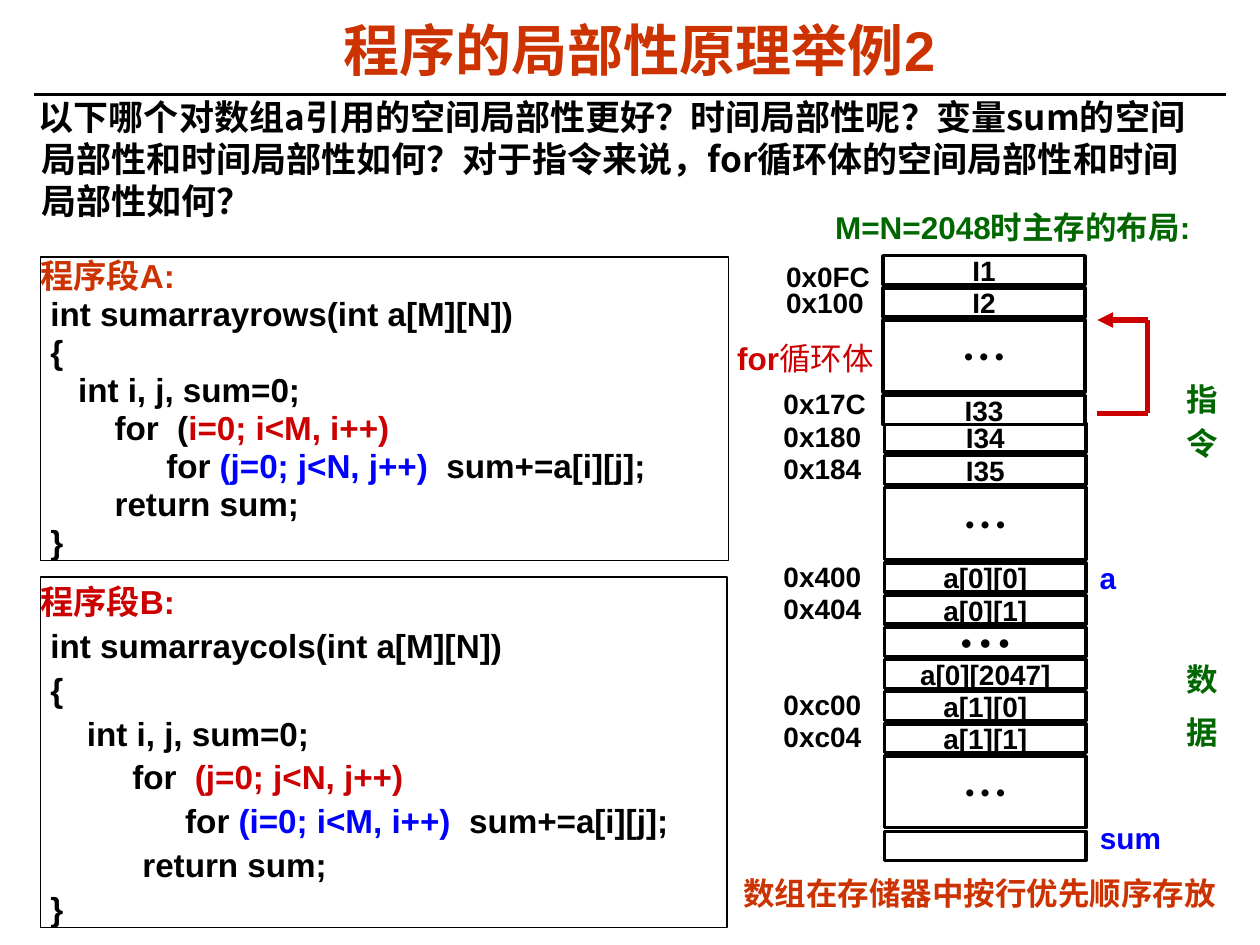
from dataclasses import dataclass

from lxml import etree
from pptx import Presentation
from pptx import util as u
from pptx.dml.color import RGBColor
from pptx.enum import shapes, text
from pptx.oxml import ns


@dataclass(frozen=True)
class Theme:
    """Colours, fonts and type sizes of the slide."""
    black: str = "000000"
    white: str = "FFFFFF"
    orange: str = "CC3300"
    red: str = "CC0000"
    blue: str = "0000FF"
    green: str = "006600"
    latin: str = "Arial"
    chinese: str = "Noto Sans CJK SC"
    serif: str = "Times New Roman"
    title: float = 32
    body: float = 20
    code: float = 19
    note: float = 18
    variable: float = 17
    memory: float = 16
    dots: float = 14


THEME = Theme()


class SlideBuilder:
    """Draws styled elements on the current slide."""

    def __init__(self, page, theme):
        self.page, self.theme = page, theme

    def style(self, span, size, color, font=None, bold=True):
        """Format one run, including its East Asian typeface."""
        span.font.size, span.font.bold = u.Pt(size), bold
        span.font.name = font or self.theme.latin
        span.font.color.rgb = RGBColor.from_string(color)
        east = etree.SubElement(span.font._element, ns.qn("a:ea"))
        east.set("typeface", self.theme.chinese)

    def frame(self, box, inset=(0.1, 0.05), wrap=False, anchor=text.MSO_ANCHOR.TOP):
        """Set the insets, wrapping and anchor of a text frame."""
        frame = box.text_frame
        frame.margin_left = frame.margin_right = u.Inches(inset[0])
        frame.margin_top = frame.margin_bottom = u.Inches(inset[1])
        frame.word_wrap, frame.vertical_anchor = wrap, anchor
        return frame

    def label(self, place, words, size, color, font=None, spacing=None,
              align=text.PP_ALIGN.LEFT, **layout):
        """Add a text box with one paragraph per line of words."""
        box = self.page.shapes.add_textbox(*map(u.Inches, place))
        frame = self.frame(box, **layout)
        frame.text = words
        for para in frame.paragraphs:
            para.alignment, para.line_spacing = align, spacing
            for span in para.runs:
                self.style(span, size, color, font)
        return box

    def rectangle(self, place, weight, fill=None):
        """Add a black outlined rectangle."""
        box = self.page.shapes.add_shape(
            shapes.MSO_SHAPE.RECTANGLE, *map(u.Inches, place))
        box.shadow.inherit = False
        if fill:
            box.fill.solid()
            box.fill.fore_color.rgb = RGBColor.from_string(fill)
        else:
            box.fill.background()
        box.line.color.rgb = RGBColor.from_string(self.theme.black)
        box.line.width = u.Pt(weight)
        return box

    def cell(self, place, words, size, font=None):
        """Add one memory cell."""
        box = self.rectangle(place, 2, self.theme.white)
        if words:
            frame = self.frame(box, anchor=text.MSO_ANCHOR.MIDDLE)
            frame.text = words
            para = frame.paragraphs[0]
            para.alignment = text.PP_ALIGN.CENTER
            self.style(para.runs[0], size, self.theme.black, font)

    def code(self, place, spacing, lines, fill=None):
        """Add a code listing of (indent, spans) lines."""
        box = self.rectangle(place, 0.75, fill)
        frame = self.frame(box, inset=(0, 0), wrap=True)
        for number, (indent, spans) in enumerate(lines):
            para = frame.add_paragraph() if number else frame.paragraphs[0]
            para.alignment = text.PP_ALIGN.LEFT
            para.line_spacing = u.Pt(spacing)
            self.indent(para, indent)
            for words, color in spans:
                span = para.add_run()
                span.text = words
                self.style(span, self.theme.code, color)

    def indent(self, para, left, first=0):
        """Indent a paragraph, with an offset for its first line."""
        properties = para._p.get_or_add_pPr()
        properties.set("marL", str(u.Inches(left)))
        properties.set("indent", str(u.Inches(first)))

    def line(self, start, end, color, weight, arrow=False):
        """Add a straight line, optionally with an arrowhead at its end."""
        line = self.page.shapes.add_connector(
            shapes.MSO_CONNECTOR.STRAIGHT, *map(u.Inches, start + end))
        line.line.color.rgb = RGBColor.from_string(color)
        line.line.width = u.Pt(weight)
        if arrow:
            head = etree.SubElement(line.line._get_or_add_ln(), ns.qn("a:tailEnd"))
            head.set("type", "triangle")
        etree.SubElement(line._element.spPr, ns.qn("a:effectLst"))


def listing(name, name_color, signature, indents, loops):
    """Return the lines of a two-loop summing function."""
    t = THEME
    declare, outer, inner, finish = indents
    (opening, outer_loop), inner_loop = loops
    return [
        (0, [(name, name_color)]),
        (0.08, [(signature, t.black)]),
        (0.08, [("{", t.black)]),
        (declare, [("int i, j, sum=0;", t.black)]),
        (outer, [(opening, t.black), (outer_loop, t.red)]),
        (inner, [("for ", t.black), (inner_loop, t.blue), ("  sum+=a[i][j];", t.black)]),
        (finish, [("return sum;", t.black)]),
        (0.08, [("}", t.black)]),
    ]


def draw_memory(builder):
    """Draw the memory column with its addresses."""
    t = THEME
    dots = "•\u00a0•\u00a0•"
    data_stack = [("I34", "0x180"), ("I35", "0x184"), (dots, ""), ("a[0][0]", "0x400"),
                  ("a[0][1]", "0x404"), (dots, "row"), ("a[0][2047]", ""),
                  ("a[1][0]", "0xc00"), ("a[1][1]", "0xc04"), (dots, ""), ("", "")]
    code_stack = [("I1", ""), ("I2", ""), (dots, ""), ("I33", "")]
    addresses = [(6.14, 2.01, "0x0FC"), (6.14, 2.22, "0x100"), (6.12, 3.02, "0x17C")]
    for left, top, stack in ((7.02, 3.36, data_stack), (7.01, 2.03, code_stack)):
        for words, address in stack:
            tall = words == dots and not address
            size, font = (t.dots if tall else t.memory), None
            if address == "row":
                size, font = t.note, t.serif
            elif address:
                addresses.append((6.12, top - 0.08, address))
            builder.cell((left, top, 1.6, 0.57 if tall else 0.23), words, size, font)
            top += 0.6 if tall else 0.255
    for left, top, address in addresses:
        builder.label((left, top, 0.9, 0.36), address, t.memory, t.black)


def main():
    """Build and save the slide."""
    t = THEME
    deck = Presentation()
    deck.slide_width, deck.slide_height = u.Inches(10), u.Inches(7.5)
    builder = SlideBuilder(deck.slides.add_slide(deck.slide_layouts[6]), t)

    builder.line((0.27, 0.75), (9.73, 0.75), t.black, 1.5)
    builder.label((0.26, 0.14, 9.63, 0.58), "程序的局部性原理举例2", t.title, t.orange,
                  spacing=0.87, align=text.PP_ALIGN.CENTER, wrap=True,
                  anchor=text.MSO_ANCHOR.MIDDLE)
    question = builder.label(
        (0.01, 0.71, 9.61, 1.2),
        "以下哪个对数组a引用的空间局部性更好？时间局部性呢？变量sum的空间局部性和时间局部性如何？"
        "对于指令来说，for循环体的空间局部性和时间局部性如何？",
        t.body, t.black, t.chinese, spacing=u.Pt(24), wrap=True)
    builder.indent(question.text_frame.paragraphs[0], 0.22, -0.02)
    builder.label((5.9, 6.94, 3.8, 0.3), "数组在存储器中按行优先顺序存放",
                  t.note, t.orange, t.chinese, inset=(0, 0))

    builder.code((0.32, 4.58, 5.45, 2.78), 25.1, listing(
        "程序段B:", t.red, "int sumarraycols(int a[M][N])", (0.37, 0.73, 1.15, 0.81),
        (("for  ", "(j=0; j<N, j++)"), "(i=0; i<M, i++)")), t.white)
    builder.code((0.32, 2.04, 5.46, 2.41), 21.7, listing(
        "程序段A:", t.orange, "int sumarrayrows(int a[M][N])", (0.3, 0.59, 1, 0.59),
        (("for  (", "i=0; i<M, i++)"), "(j=0; j<N, j++)")))

    builder.label((6.53, 1.6, 3.2, 0.4), "M=N=2048时主存的布局:", t.note, t.green)
    draw_memory(builder)
    regions = builder.label((9.42, 2.97, 0.3, 3), "指\n令\n数\n据", t.note, t.green,
                            spacing=u.Pt(25), inset=(0, 0))
    for para, gap in zip(regions.text_frame.paragraphs, (0, 0, 110, 5)):
        para.space_before = u.Pt(gap)
    for name, top, width in (("a", 4.39, 0.36), ("sum", 6.46, 1.02)):
        builder.label((8.63, top, width, 0.38), name, t.variable, t.blue)

    corners = [(8.71, 3.28), (9.11, 3.28), (9.11, 2.54), (8.71, 2.54)]
    for start, end in zip(corners, corners[1:]):
        builder.line(start, end, t.red, 3, arrow=end == corners[-1])
    loop = builder.label((5.85, 2.69, 1.39, 0.3), "for", t.note, t.red,
                         inset=(0, 0), wrap=True)
    span = loop.text_frame.paragraphs[0].add_run()
    span.text = "循环体"
    builder.style(span, t.note, t.red, bold=False)
    deck.save("out.pptx")


if __name__ == "__main__":
    main()
